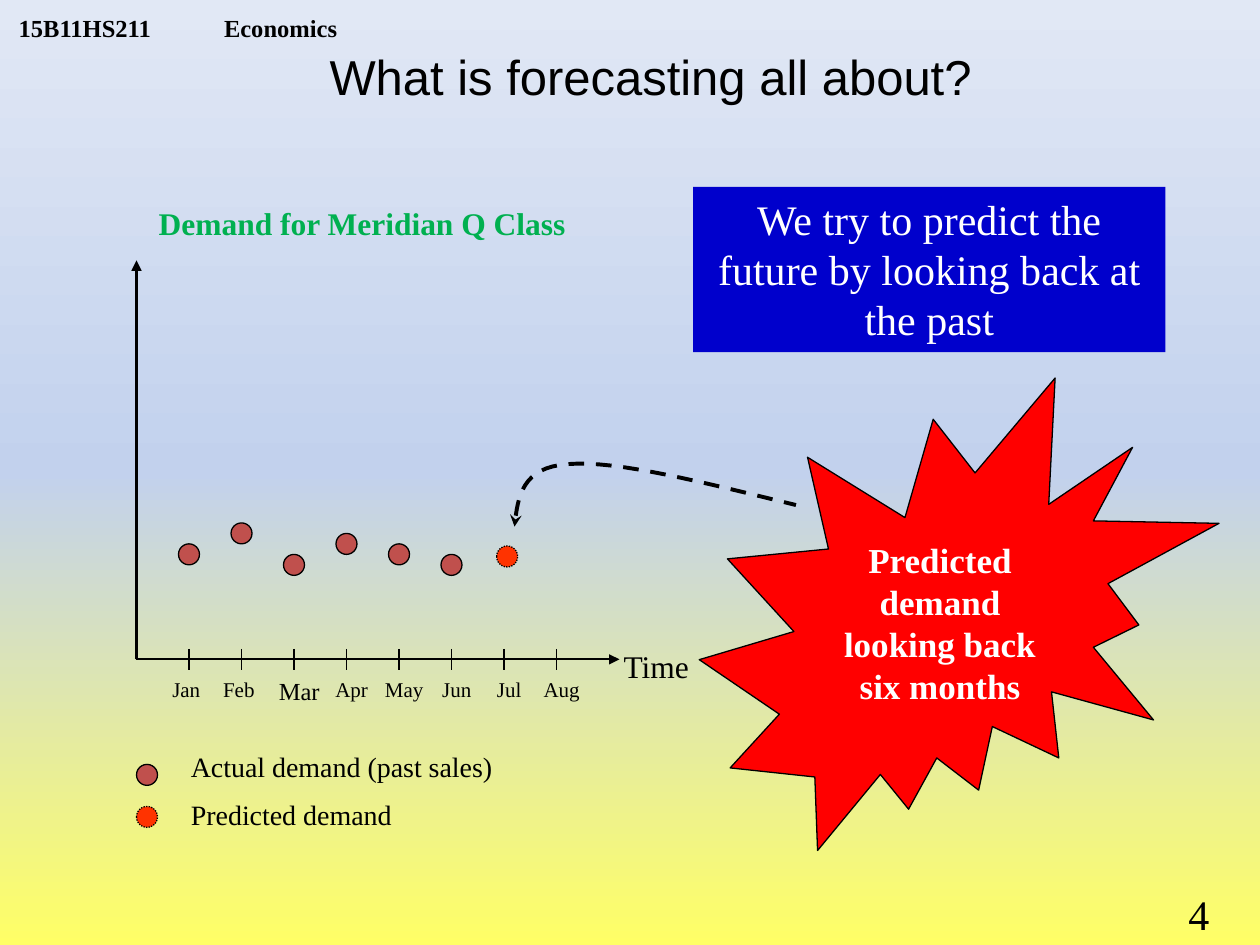
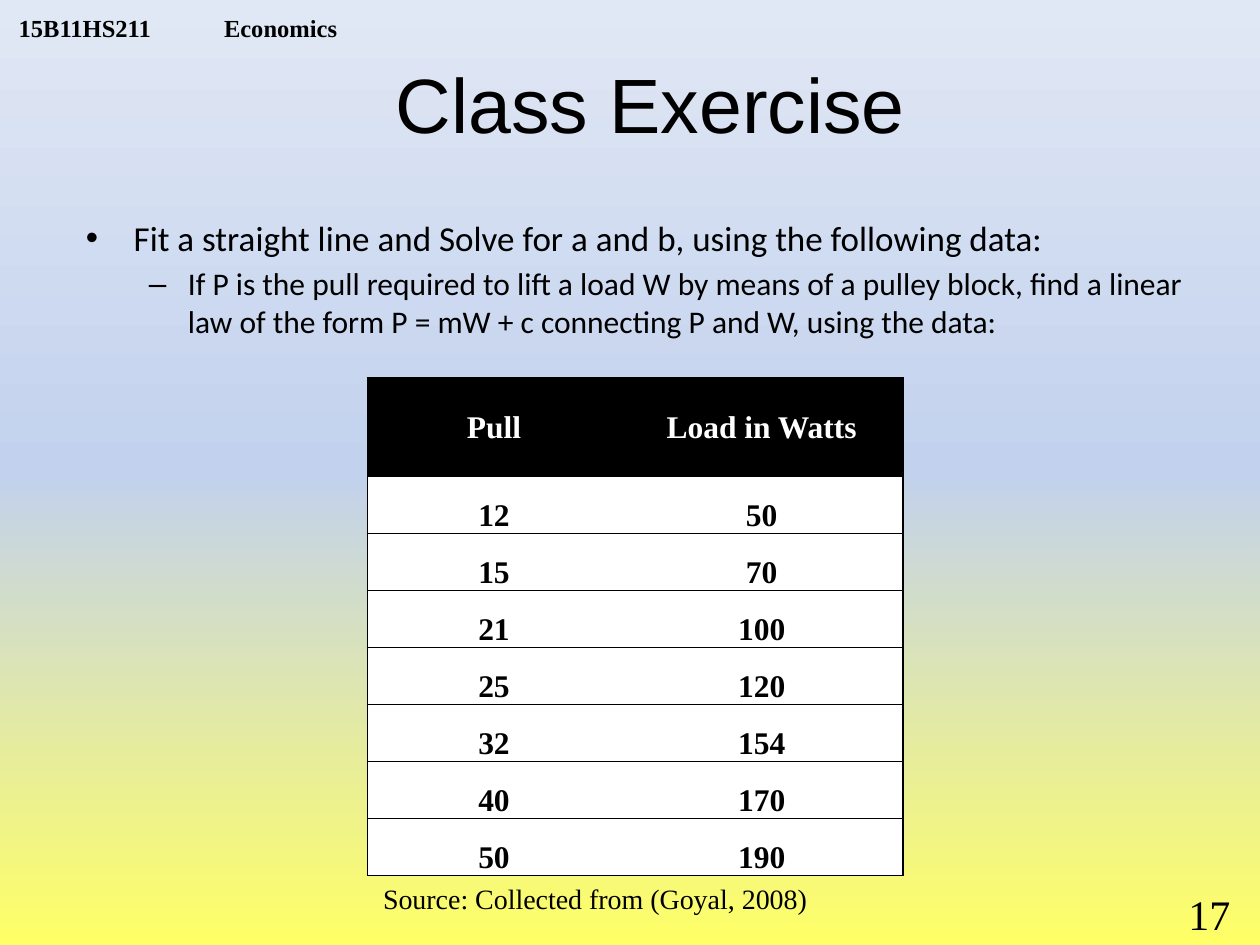
from copy import deepcopy
from lxml import etree
from pptx import Presentation
from pptx.dml.color import RGBColor
from pptx.enum import dml, shapes, text
from pptx.oxml.ns import qn
from pptx.util import Inches, Pt

BLACK = RGBColor(0x00, 0x00, 0x00)
WHITE = RGBColor(0xFF, 0xFF, 0xFF)
GREEN = RGBColor(0x00, 0xB0, 0x50)
BLUE = RGBColor(0x00, 0x00, 0xCC)
RED = RGBColor(0xFF, 0x00, 0x00)
BRICK = RGBColor(0xC0, 0x50, 0x4D)
FLAME = RGBColor(0xFF, 0x33, 0x00)
SKY = {0: RGBColor(0xFF, 0xFF, 0x66), 0.5: RGBColor(0xC2, 0xD1, 0xED),
       1: RGBColor(0xE1, 0xE8, 0xF5)}
SERIF = "Times New Roman"
MID = text.PP_ALIGN.CENTER
LEFT = text.PP_ALIGN.LEFT
TOP = text.MSO_ANCHOR.TOP
CORE = text.MSO_ANCHOR.MIDDLE
BASE = text.MSO_ANCHOR.BOTTOM
KIND = shapes.MSO_SHAPE
DASH = dml.MSO_LINE

deck = Presentation()
deck.slide_width, deck.slide_height = Inches(10), Inches(7.5)
CELL = deck.slide_width / 120  # the slide is a grid of 120 columns by 90 rows


def grid(*cells):
    return [round(n * CELL) for n in cells]


def write(frame, words, size, color=BLACK, bold=False, align=LEFT, anchor=TOP, face=SERIF):
    """Fill a text frame, one paragraph per line of words."""
    frame.word_wrap, frame.vertical_anchor = True, anchor
    frame.text = words
    for i, para in enumerate(frame.paragraphs):
        para.alignment = align
        if i:
            para.space_before = Pt(size / 2)
        look = {"name": face, "size": Pt(size), "bold": bold}
        for run in para.runs:
            for key, value in look.items():
                setattr(run.font, key, value)
            run.font.color.rgb = color
    return frame


# Shared frame: sky, course line, title and page number
pages = []
for title, size, top, page in (("What is forecasting all about?", 28, -0.6, "4"),
                               ("Class Exercise", 44, 2, "17")):
    slide = deck.slides.add_slide(deck.slide_layouts[6])
    fill = slide.background.fill
    fill.gradient()
    fill.gradient_angle = 90
    stops = slide.element.find(".//" + qn("a:gsLst"))
    stops.append(deepcopy(stops[0]))
    for stop, (place, color) in zip(fill.gradient_stops, SKY.items()):
        stop.position, stop.color.rgb = place, color

    head = slide.shapes.add_textbox(*grid(0.6, 0, 38.4, 4)).text_frame
    head.margin_top = head.margin_bottom = 0
    write(head, "15B11HS211\tEconomics", 14, bold=True, anchor=BASE)
    tabs = etree.SubElement(head.paragraphs[0]._p.get_or_add_pPr(), qn("a:tabLst"))
    etree.SubElement(tabs, qn("a:tab"), pos=str(Inches(1.63)), algn="l")

    write(slide.shapes.add_textbox(*grid(23, top, 77.9, 15.6)).text_frame,
          title, size, align=MID, anchor=CORE, face="Arial")
    write(slide.shapes.add_textbox(*grid(112, 84, 8, 6)).text_frame, page, 24)
    pages.append(slide)

# Slide 1: demand over time
art = pages[0].shapes
LEFT_X, AXIS_Y, STEP = 13, 62.8, 5
MONTHS = ["Jan ", "Feb ", "Mar", "Apr", "May", "Jun", "Jul", "Aug"]
SALES = [10, 12, 9, 11, 10, 9]  # rows above the axis

rules = [((LEFT_X, AXIS_Y, LEFT_X, 24.8), 1.25, "tailEnd"),
         ((LEFT_X, AXIS_Y, 59, AXIS_Y), 1.25, "tailEnd")]
dots = [(LEFT_X, 72.8, BRICK), (LEFT_X, 76.8, FLAME), (47.3, 52, FLAME)]
for i, month in enumerate(MONTHS):
    x = LEFT_X + STEP * (i + 1)
    rules.append(((x, AXIS_Y - 1, x, AXIS_Y + 1), 0.75, None))
    wide = 6 if i < 2 else 7
    write(art.add_textbox(*grid(x - 3, AXIS_Y + 1, wide, 3.6)).text_frame,
          month, 14 if month == "Mar" else 12, align=MID)
for i, sale in enumerate(SALES):
    dots.append((LEFT_X + STEP * (i + 1) - 1, AXIS_Y - sale - 1, BRICK))

# Each mark: shape, fill, line width, dash, arrow end, arrow style
marks = []
for ends, width, arrow in rules:
    rule = art.add_connector(shapes.MSO_CONNECTOR.STRAIGHT, *grid(*ends))
    marks.append((rule, None, width, None, arrow, "triangle"))
for x, y, color in dots:
    dot = art.add_shape(KIND.OVAL, *grid(x, y, 2, 2))
    dash = DASH.ROUND_DOT if color == FLAME else None
    marks.append((dot, color, 0.75, dash, None, None))

for words, place, look in (
        ("Demand for Meridian Q Class", (7, 18.8, 55, 4.8),
         {"size": 18, "color": GREEN, "bold": True, "align": MID}),
        ("Time", (56, 61, 13, 4.8), {"size": 18, "align": MID}),
        ("Actual demand (past sales)\nPredicted demand", (17, 70.8, 55, 9.3),
         {"size": 16})):
    write(art.add_textbox(*grid(*place)).text_frame, words, **look)

note = art.add_shape(KIND.RECTANGLE, *grid(66, 17.8, 45, 15.75))
write(note.text_frame, "We try to predict the future by looking back at the past",
      24, WHITE, align=MID)
marks.append((note, BLUE, 0, None, None, None))

# Curved pointer, traced along two cubic arcs
ARCS = [((49, 50.15), (49.3, 47.3), (49.7, 44.5), (54.1, 44.2)),
        ((54.1, 44.2), (58.7, 43.8), (67.2, 46), (75.8, 48.1))]
trail = []
for arc in ARCS:
    for n in range(1, 17):
        t = n / 16
        parts = ((1 - t) ** 3, 3 * t * (1 - t) ** 2, 3 * t * t * (1 - t), t ** 3)
        trail.append(grid(*(sum(w * p[k] for w, p in zip(parts, arc)) for k in (0, 1))))
pen = art.build_freeform(*grid(*ARCS[0][0]))
pen.add_line_segments(trail, close=False)
marks.append((pen.convert_to_shape(), None, 2.25, DASH.DASH, "headEnd", "stealth"))

burst = art.add_shape(KIND.EXPLOSION2, *grid(66.6, 36, 49.5, 45))
write(burst.text_frame, "Predicted demand looking back six months", 20, WHITE,
      bold=True, align=MID, anchor=CORE)
marks.append((burst, RED, 0.75, None, None, None))

for mark, color, width, dash, arrow, style in marks:
    if color is not None:
        mark.fill.solid()
        mark.fill.fore_color.rgb = color
    elif hasattr(mark, "fill"):
        mark.fill.background()
    if width:
        mark.line.color.rgb, mark.line.width = BLACK, Pt(width)
    else:
        mark.line.fill.background()
    if dash is not None:
        mark.line.dash_style = dash
    spot = mark.element.spPr
    if arrow:
        etree.SubElement(spot.find(qn("a:ln")), qn("a:" + arrow), type=style)
    etree.SubElement(spot, qn("a:effectLst"))

# Slide 2: exercise and its data
art = pages[1].shapes
TASK = [("Fit a straight line and Solve for a and b, using the following data:",
         20, "•", 0.38, 0.38),
        ("If P is the pull required to lift a load W by means of a pulley block, "
         "find a linear law of the form P = mW + c connecting P and W, using the data:",
         18, "–", 0.81, 0.31)]
body = art.add_textbox(*grid(7, 20, 109, 61)).text_frame
write(body, "\n".join(item[0] for item in TASK), 20, face="Calibri")
for i, (para, (words, size, sign, inset, hang)) in enumerate(zip(body.paragraphs, TASK)):
    props = para._p.get_or_add_pPr()
    props.set("marL", str(Inches(inset)))
    props.set("indent", str(-Inches(hang)))
    para.level = i
    if i:
        para.space_before = Pt(size / 5)
    etree.SubElement(props, qn("a:buFont"), typeface="Arial")
    etree.SubElement(props, qn("a:buChar"), char=sign)
    para.runs[0].font.size = Pt(size)

DATA = [("Pull", "Load in Watts"), (12, 50), (15, 70), (21, 100), (25, 120),
        (32, 154), (40, 170), (50, 190)]
table = art.add_table(len(DATA), 2, *grid(35, 36, 51, 47.4)).table
table.first_row = table.horz_banding = False
for col, width in zip(table.columns, grid(24.1, 26.9)):
    col.width = width
for r, pair in enumerate(DATA):
    table.rows[r].height = grid(5.43 if r else 9.4)[0]
    for c, value in enumerate(pair):
        cell = table.cell(r, c)
        cell.margin_left = cell.margin_right = cell.margin_top = Inches(0.01)
        cell.margin_bottom = 0
        write(cell.text_frame, str(value), 18, BLACK if r else WHITE, bold=True, align=MID)
        cell.vertical_anchor = BASE if r else CORE
        cell.fill.solid()
        cell.fill.fore_color.rgb = WHITE if r else BLACK
        props = cell._tc.get_or_add_tcPr()
        for k, side in enumerate("LRTB"):
            edge = etree.Element(qn("a:ln" + side), w=str(Pt(1)))
            if side == "RL"[c]:
                etree.SubElement(edge, qn("a:noFill"))
            else:
                paint = etree.SubElement(edge, qn("a:solidFill"))
                etree.SubElement(paint, qn("a:srgbClr"), val=str(BLACK))
            props.insert(k, edge)

write(art.add_textbox(*grid(35.3, 83.4, 70.8, 4.4)).text_frame,
      "Source: Collected from (Goyal, 2008)", 16)

deck.save("out.pptx")
